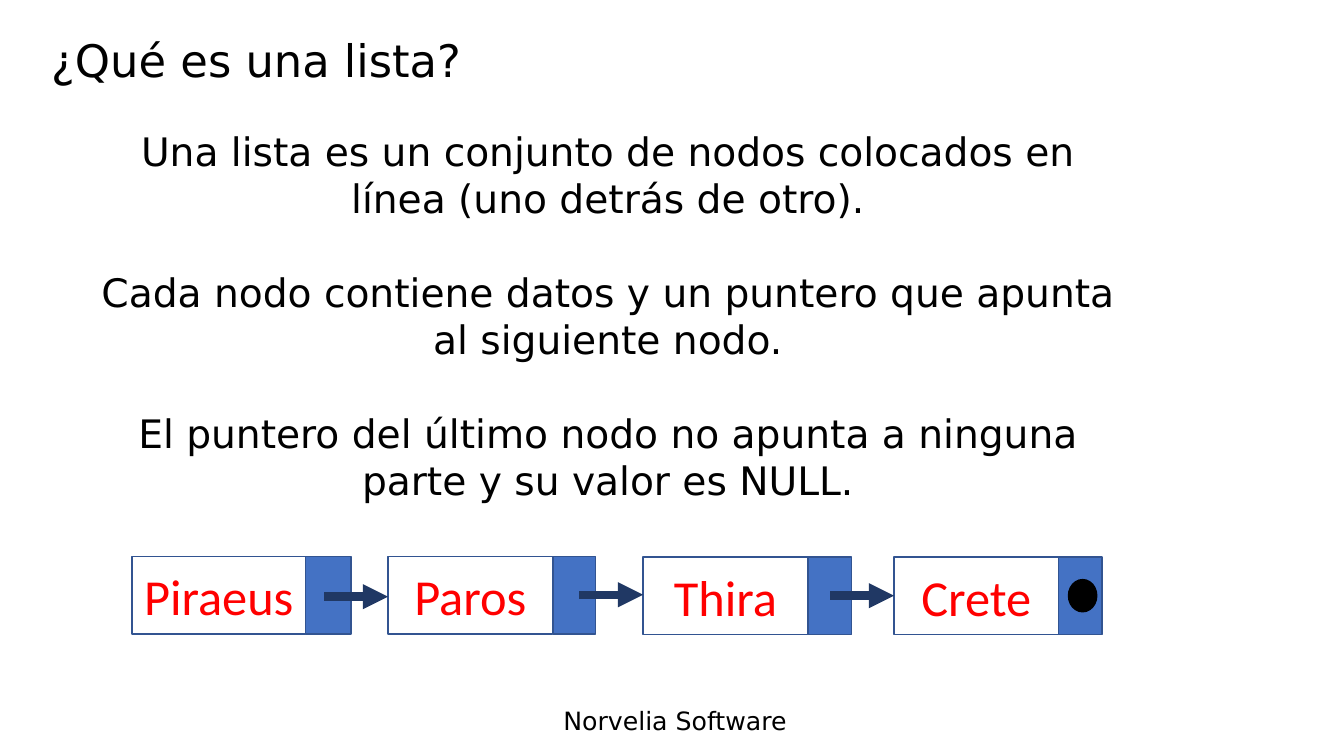
from lxml import etree
from pptx import Presentation
from pptx import util as u
from pptx.dml.color import RGBColor
from pptx.enum import shapes, text
from pptx.oxml import ns

TITLE = "¿Qué es una lista?"
BODY = [
    "Una lista es un conjunto de nodos colocados en línea (uno detrás de otro).",
    "Cada nodo contiene datos y un puntero que apunta al siguiente nodo.",
    "El puntero del último nodo no apunta a ninguna parte y su valor es NULL.",
]
FOOTER = "Norvelia Software"
NODES = [
    {"name": "Piraeus", "left": 94.3, "top": 397.4, "data": 123.9, "pointer": 32.4},
    {"name": "Paros", "left": 277.2, "top": 397.4, "data": 117.7, "pointer": 30.6},
    {"name": "Thira", "left": 459.4, "top": 398, "data": 117.7, "pointer": 31},
    {"name": "Crete", "left": 638.6, "top": 398, "data": 117.7, "pointer": 31},
]
ARROW_LEVELS = [426.2, 424.8, 425.5]
ARROW_LENGTH = 45.6
NODE_HEIGHT = 55.4
NULL_DOT = (763.2, 414, 20.2, 23)

THEME = {
    "text": "000000", "name": "FF0000", "pointer": "4472C4",
    "outline": "325491", "arrow": "203864",
    "font": "DejaVu Sans", "node_font": "Calibri",
    "title_size": 32, "body_size": 28, "footer_size": 18, "name_size": 36,
    "line": 1, "arrow_line": 6,
}


def color(key):
    return RGBColor.from_string(THEME[key])


def apply(target, values):
    for name, value in values.items():
        setattr(target, name, value)


def write(box, lines, size, font="font", ink="text", frame=None, para_format=None, gap=0):
    apply(box.text_frame, {"word_wrap": True, **(frame or {})})
    for index, line in enumerate(lines):
        para = box.text_frame.paragraphs[0] if index == 0 else box.text_frame.add_paragraph()
        apply(para, {"space_before": u.Pt(gap if index else 0), **(para_format or {})})
        span = para.add_run()
        span.text = line
        apply(span.font, {"name": THEME[font], "size": u.Pt(THEME[size])})
        span.font.color.rgb = color(ink)


def add_text(page, area, lines, size, **options):
    box = page.shapes.add_textbox(*map(u.Pt, area))
    write(box, lines, size, **options)


def add_block(parent, kind, area, fill, outline):
    block = parent.shapes.add_shape(kind, *map(u.Pt, area))
    block.shadow.inherit = False
    if fill:
        block.fill.solid()
        block.fill.fore_color.rgb = color(fill)
    else:
        block.fill.background()
    block.line.color.rgb = color(outline)
    block.line.width = u.Pt(THEME["line"])
    return block


def add_node(page, node):
    group = page.shapes.add_group_shape()
    rectangle = shapes.MSO_SHAPE.RECTANGLE
    left, top, width = node["left"], node["top"], node["data"]
    data = add_block(group, rectangle, (left, top, width, NODE_HEIGHT), None, "outline")
    write(data, [node["name"]], "name_size", font="node_font", ink="name",
          frame={"vertical_anchor": text.MSO_ANCHOR.MIDDLE}, para_format=CENTERED)
    add_block(group, rectangle, (left + width, top, node["pointer"], NODE_HEIGHT), "pointer", "outline")


def add_arrow(page, end, level):
    arrow = page.shapes.add_connector(
        shapes.MSO_CONNECTOR.STRAIGHT, *map(u.Pt, (end - ARROW_LENGTH, level, end, level)))
    arrow.line.color.rgb = color("arrow")
    arrow.line.width = u.Pt(THEME["arrow_line"])
    etree.SubElement(arrow.line._get_or_add_ln(), ns.qn("a:tailEnd"), type="triangle")
    etree.SubElement(arrow._element.spPr, ns.qn("a:effectLst"))


CENTERED = {"alignment": text.PP_ALIGN.CENTER}


def main():
    deck = Presentation()
    apply(deck, {"slide_width": u.Pt(960), "slide_height": u.Pt(540)})
    page = deck.slides.add_slide(deck.slide_layouts[6])
    add_text(page, (395.3, 500.4, 208.8, 28.8), [FOOTER], "footer_size")
    add_text(page, (29.5, 10.8, 864.7, 68.4), [TITLE], "title_size",
             frame={"vertical_anchor": text.MSO_ANCHOR.MIDDLE},
             para_format={"line_spacing": 0.9})
    add_text(page, (58.3, 87.1, 751.7, 278.6), BODY, "body_size",
             para_format=CENTERED, gap=33.6)
    for node in NODES:
        add_node(page, node)
    for target, level in zip(NODES[1:], ARROW_LEVELS):
        add_arrow(page, target["left"], level)
    add_block(page, shapes.MSO_SHAPE.OVAL, NULL_DOT, "text", "text")
    deck.save("out.pptx")


if __name__ == "__main__":
    main()
